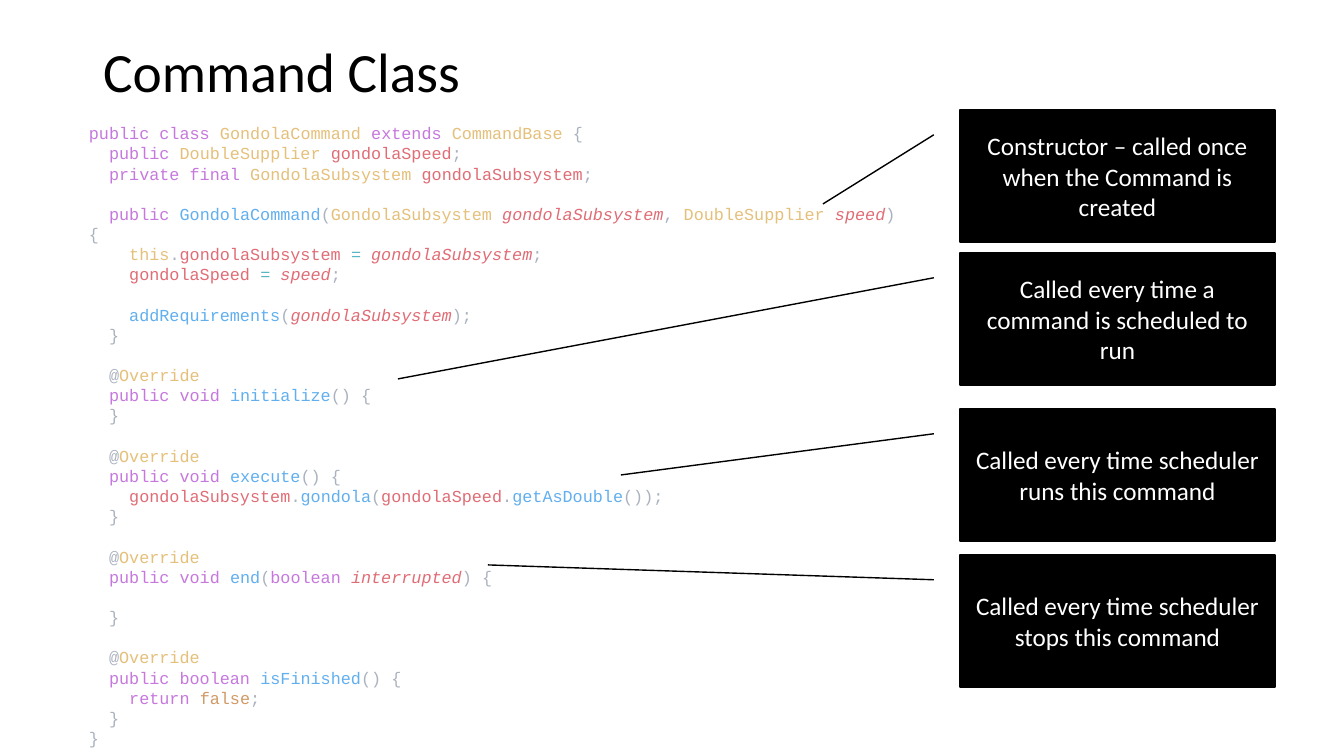
from pptx import Presentation
from pptx.dml.color import RGBColor
from pptx.enum.shapes import MSO_SHAPE
from pptx.enum.text import MSO_ANCHOR, MSO_AUTO_SIZE, PP_ALIGN
from pptx.util import Emu, Pt

CALLOUT = MSO_SHAPE.LINE_CALLOUT_1
MIDDLE, TOP = MSO_ANCHOR.MIDDLE, MSO_ANCHOR.TOP
LEFT, CENTER = PP_ALIGN.LEFT, PP_ALIGN.CENTER
NO_FIT = MSO_AUTO_SIZE.NONE

EMU_PER_PX = 914400 / 100.8
TITLE_ONLY = 5
LINE_PITCH = Pt(14.4)

COLORS = {
    "black": "000000",
    "white": "FFFFFF",
    "keyword": "C678DD",
    "type": "E5C07B",
    "name": "E06C75",
    "param": "E06C75",
    "call": "61AFEF",
    "operator": "56B6C2",
    "literal": "D19A66",
    "mark": "ABB2BF",
}

OVERRIDE = [("mark", "  @"), ("type", "Override")]
CLOSE = [("mark", "  }")]

CODE_BLOCKS = [
    [
        [("keyword", "public class "), ("type", "GondolaCommand "), ("keyword", "extends "),
         ("type", "CommandBase "), ("mark", "{")],
        [("keyword", "  public "), ("type", "DoubleSupplier "), ("name", "gondolaSpeed"), ("mark", ";")],
        [("keyword", "  private final "), ("type", "GondolaSubsystem "),
         ("name", "gondolaSubsystem"), ("mark", ";")],
    ],
    [
        [("keyword", "  public "), ("call", "GondolaCommand"), ("mark", "("),
         ("type", "GondolaSubsystem "), ("param", "gondolaSubsystem"), ("mark", ", "),
         ("type", "DoubleSupplier "), ("param", "speed"), ("mark", ") {")],
        [("type", "    this"), ("mark", "."), ("name", "gondolaSubsystem "), ("operator", "= "),
         ("param", "gondolaSubsystem"), ("mark", ";")],
        [("name", "    gondolaSpeed "), ("operator", "= "), ("param", "speed"), ("mark", ";")],
    ],
    [
        [("call", "    addRequirements"), ("mark", "("), ("param", "gondolaSubsystem"), ("mark", ");")],
        CLOSE,
    ],
    [
        OVERRIDE,
        [("keyword", "  public void"), ("call", " initialize"), ("mark", "() {")],
        CLOSE,
    ],
    [
        OVERRIDE,
        [("keyword", "  public void"), ("call", " execute"), ("mark", "() {")],
        [("name", "    gondolaSubsystem"), ("mark", "."), ("call", "gondola"), ("mark", "("),
         ("name", "gondolaSpeed"), ("mark", "."), ("call", "getAsDouble"), ("mark", "());")],
        CLOSE,
    ],
    [
        OVERRIDE,
        [("keyword", "  public void"), ("call", " end"), ("mark", "("), ("keyword", "boolean "),
         ("param", "interrupted"), ("mark", ") {")],
    ],
    [CLOSE],
    [
        OVERRIDE,
        [("keyword", "  public boolean "), ("call", "isFinished"), ("mark", "() {")],
        [("keyword", "    return "), ("literal", "false"), ("mark", ";")],
        CLOSE,
        [("mark", "}")],
    ],
]

NOTES = [
    ("Constructor – called once when the Command is created", 110, (823, 204)),
    ("Called every time a command is scheduled to run", 253, (398, 379)),
    ("Called every time scheduler runs this command", 409, (621, 475)),
    ("Called every time scheduler stops this command", 555, (488, 565)),
]


def px(length):
    """Turn pixels into EMU."""
    return Emu(round(length * EMU_PER_PX))


def rgb(key):
    """Look up a named colour."""
    return RGBColor.from_string(COLORS[key])


def add_run(paragraph, text, size, font_name, color, italic=False):
    """Append one formatted run to a paragraph."""
    run = paragraph.add_run()
    run.text = text
    run.font.size = Pt(size)
    run.font.name = font_name
    run.font.italic = italic
    run.font.color.rgb = rgb(color)


def place_title(slide, box, text):
    """Move the title placeholder into the box and fill it."""
    title = slide.shapes.title
    title.left, title.top, title.width, title.height = map(px, box)
    frame = title.text_frame
    frame.auto_size = NO_FIT
    frame.vertical_anchor = MIDDLE
    heading = frame.paragraphs[0]
    heading.alignment = LEFT
    heading.line_spacing = 0.9
    add_run(heading, text, 39.6, "Calibri", "black")


def add_code(slide, box, blocks):
    """Write the coloured listing, one empty line apart between blocks."""
    frame = slide.shapes.add_textbox(*map(px, box)).text_frame
    frame.word_wrap = True
    frame.vertical_anchor = TOP
    line = frame.paragraphs[0]
    for block_index, block in enumerate(blocks):
        for line_index, tokens in enumerate(block):
            if block_index or line_index:
                line = frame.add_paragraph()
            if block_index and not line_index:
                line.space_before = LINE_PITCH
            line.line_spacing = LINE_PITCH
            for kind, text in tokens:
                add_run(line, text, 12, "Courier New", kind, kind == "param")


def add_note(slide, box, text, target):
    """Draw a callout in the box whose pointer ends at the target."""
    left, top, width, height = box
    note = slide.shapes.add_shape(CALLOUT, *map(px, box))
    pointer = (0.188, -0.083, (target[1] - top) / height, (target[0] - left) / width)
    for index, value in enumerate(pointer):
        note.adjustments[index] = value
    note.shadow.inherit = False
    note.fill.solid()
    note.fill.fore_color.rgb = rgb("black")
    note.line.color.rgb = rgb("black")
    note.line.width = Pt(1)
    frame = note.text_frame
    frame.word_wrap = True
    frame.vertical_anchor = MIDDLE
    frame.paragraphs[0].alignment = CENTER
    add_run(frame.paragraphs[0], text, 18, "Calibri", "white")


def main():
    """Build and save the slide."""
    deck = Presentation()
    deck.slide_width, deck.slide_height = px(1344), px(756)
    slide = deck.slides.add_slide(deck.slide_layouts[TITLE_ONLY])
    place_title(slide, (93, 40, 1159, 70), "Command Class")
    add_code(slide, (79, 118, 836, 621), CODE_BLOCKS)
    for text, top, target in NOTES:
        add_note(slide, (960, top, 315, 132), text, target)
    deck.save("out.pptx")


if __name__ == "__main__":
    main()
